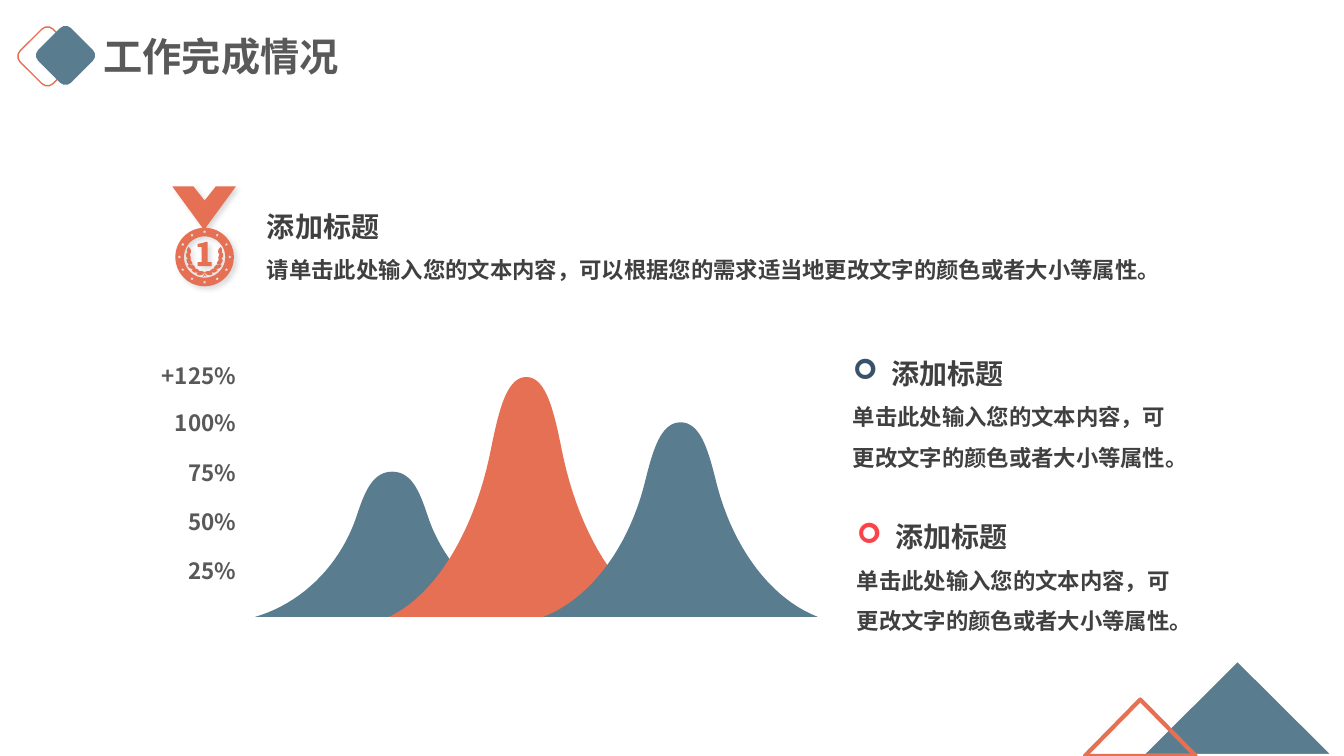
import math
from dataclasses import dataclass
from typing import Optional

import lxml.etree
import pptx
import pptx.dml.color
import pptx.enum.shapes
import pptx.enum.text
import pptx.oxml.ns
import pptx.util

PX = 9144  # 100 px to the inch
FONT = "Noto Sans CJK SC"
TEAL, CORAL, WHITE = "597C8F", "E67054", "FFFFFF"
GREY, DARK = "595959", "404040"
KIND = pptx.enum.shapes.MSO_SHAPE
ALIGN = pptx.enum.text.PP_ALIGN
FIT = pptx.enum.text.MSO_AUTO_SIZE
Point = tuple[float, float]


@dataclass
class Form:
    kind: int
    box: tuple[int, int, int, int]
    fill: Optional[str] = None
    line: Optional[str] = None
    width: int = 0
    turn: int = 0


@dataclass
class Peak:
    left: int
    height: int
    fill: str


@dataclass
class Label:
    text: str
    top: int


@dataclass
class Note:
    left: int
    top: int
    width: int
    text: str
    mark: Optional[str] = None


FORMS = [
    Form(KIND.ROUNDED_RECTANGLE, (24, 33, 46, 46), line=CORAL, width=1, turn=45),
    Form(KIND.ROUNDED_RECTANGLE, (42, 32, 46, 46), fill=TEAL, turn=45),
    Form(KIND.ISOSCELES_TRIANGLE, (1131, 654, 193, 96), TEAL, WHITE, 3),
    Form(KIND.ISOSCELES_TRIANGLE, (1076, 694, 110, 56), line=CORAL, width=3),
]
PEAKS = [Peak(253, 144, TEAL), Peak(386, 238, CORAL), Peak(539, 193, TEAL)]
LABELS = [Label("+125%", 353), Label("100%", 400), Label("75%", 449),
          Label("50%", 498), Label("25%", 547)]
BODY = "单击此处输入您的文本内容，可更改文字的颜色或者大小等属性。"
NOTES = [
    Note(255, 186, 907, "请单击此处输入您的文本内容，可以根据您的需求适当地更改文字的颜色或者大小等属性。"),
    Note(836, 332, 338, BODY, "395269"),
    Note(840, 494, 338, BODY, "FB4349"),
]
# Left half of a peak: x in px, y in percent of the height
BASE, SPAN = 612, 272
SLOPE = [(0, 0), (45, 9), (82, 34), (99, 66), (107, 82), (114, 100), (136, 100)]
# Medal: centre, right-hand leaves, figure one
MID, HUB = 203, 255
LEAVES = [((203, 270), (211, 272)), ((208, 269), (216, 268)),
          ((212, 266), (220, 263)), ((215, 263), (221, 257)),
          ((217, 258), (221, 251)), ((218, 253), (219, 245))]
ONE = [(204, 240), (206, 240), (206, 260), (210, 260), (210, 264), (196, 264),
       (196, 260), (200, 260), (200, 245), (196, 245), (196, 242), (201, 241)]
STEM = [(203, 271), (205, 275), (203, 273), (201, 275)]

deck = pptx.Presentation()
deck.slide_width, deck.slide_height = pptx.util.Inches(13.33), pptx.util.Inches(7.5)
shapes = deck.slides.add_slide(deck.slide_layouts[6]).shapes


def color(code: str) -> pptx.dml.color.RGBColor:
    return pptx.dml.color.RGBColor.from_string(code)


def child(node, tag: str, **attrs):
    return lxml.etree.SubElement(node, pptx.oxml.ns.qn(tag), attrs)


def paint(shape, fill: Optional[str], line: Optional[str] = None, width: int = 0) -> None:
    shape.shadow.inherit = False
    if fill:
        shape.fill.solid()
        shape.fill.fore_color.rgb = color(fill)
    else:
        shape.fill.background()
    if line:
        shape.line.color.rgb = color(line)
        shape.line.width = pptx.util.Pt(width)
    else:
        shape.line.fill.background()


def box(left: int, top: int, width: int, height: int, wrap: bool = True):
    frame = shapes.add_textbox(left * PX, top * PX, width * PX, height * PX).text_frame
    frame.word_wrap = wrap
    return frame


def write(par, text: str, *, size: int, ink: str, align=None, space=None, mark=None) -> None:
    par.alignment, par.line_spacing = align, space
    run = par.add_run()
    run.text = text
    run.font.size, run.font.bold = pptx.util.Pt(size), True
    run.font.name = FONT
    run.font.color.rgb = color(ink)
    child(run.font._element, "a:ea", typeface=FONT)
    if mark:
        props = par._p.get_or_add_pPr()
        props.set("marL", str(38 * PX))
        props.set("indent", str(-38 * PX))
        child(child(props, "a:buClr"), "a:srgbClr", val=mark)
        child(props, "a:buFont", typeface="Wingdings")
        child(props, "a:buChar", char="➢")


def curve(nodes: list[Point], steps: int = 20) -> list[Point]:
    """Points along a chain of cubic curves."""
    out = [nodes[0]]
    for i in range(0, len(nodes) - 1, 3):
        a, b, c, d = nodes[i:i + 4]
        for k in range(1, steps + 1):
            t = k / steps
            u = 1 - t
            out.append(tuple(u**3 * p + 3 * u * u * t * q + 3 * u * t * t * r + t**3 * s
                             for p, q, r, s in zip(a, b, c, d)))
    return out


def arc(x: float, y: float, size: float, start: int = 0, end: int = 360, step: int = 4) -> list[Point]:
    return [(x + size * math.cos(math.radians(a)), y + size * math.sin(math.radians(a)))
            for a in range(start, end, step)]


def star(x: float, y: float) -> list[Point]:
    tips, dips = arc(x, y, 2, -90, 270, 72), arc(x, y, 0.9, -54, 306, 72)
    return [p for pair in zip(tips, dips) for p in pair]


def leaf(a: Point, b: Point) -> list[Point]:
    dx, dy = (b[0] - a[0]) / 3, (b[1] - a[1]) / 3
    return curve([a, (a[0] + dx - dy, a[1] + dy + dx), (b[0] - dx - dy, b[1] - dy + dx), b,
                  (b[0] - dx + dy, b[1] - dy - dx), (a[0] + dx + dy, a[1] + dy - dx), a], 6)


def trace(loops: list[list[Point]], fill: str):
    scaled = [[(round(x * PX), round(y * PX)) for x, y in loop] for loop in loops]
    pen = shapes.build_freeform(*scaled[0][0])
    for i, loop in enumerate(scaled):
        if i:
            pen.move_to(*loop[0])
        pen.add_line_segments(loop[1:], close=True)
    shape = pen.convert_to_shape()
    paint(shape, fill)
    return shape


def medal() -> None:
    rim = [(171, 185), (192, 185), (203, 199), (214, 185), (234, 185), (204, 226)]
    loops = [rim + arc(MID, HUB, 29, -86, 268), arc(MID, HUB, 20.5), ONE, STEM]
    loops += [star(x, y) for x, y in arc(MID, HUB, 25, step=30)]
    for a, b in LEAVES:
        loops += [leaf(a, b), leaf((2 * MID - a[0], a[1]), (2 * MID - b[0], b[1]))]
    effect = trace(loops, CORAL)._element.spPr.find(pptx.oxml.ns.qn("a:effectLst"))
    shade = child(effect, "a:outerShdw", blurRad="50800", dist="38100", dir="2700000", algn="tl")
    child(child(shade, "a:srgbClr", val="000000"), "a:alpha", val="15000")


def main() -> None:
    # Diamonds and corner triangles
    for form in FORMS:
        shape = shapes.add_shape(form.kind, *(n * PX for n in form.box))
        shape.rotation = form.turn
        paint(shape, form.fill, form.line, form.width)

    # Heading
    write(box(93, 27, 256, 57, wrap=False).paragraphs[0], "工作完成情况", size=28, ink=GREY)

    medal()

    # Peaks and their scale
    whole = SLOPE + [(SPAN - x, y) for x, y in SLOPE[-2::-1]]
    for peak in PEAKS:
        nodes = [(peak.left + x, BASE - y * peak.height / 100) for x, y in whole]
        trace([curve(nodes)], peak.fill)
    for label in LABELS:
        frame = box(157, label.top, 80, 39)
        frame.vertical_anchor = pptx.enum.text.MSO_ANCHOR.MIDDLE
        frame.margin_left = frame.margin_right = frame.margin_top = frame.margin_bottom = 3 * PX
        write(frame.paragraphs[0], label.text, size=16, ink=GREY, align=ALIGN.RIGHT)

    # Notes
    for note in NOTES:
        frame = box(note.left, note.top, note.width, 137 if note.mark else 96)
        frame.auto_size = FIT.SHAPE_TO_FIT_TEXT
        write(frame.paragraphs[0], "添加标题", size=20, ink=DARK,
              align=ALIGN.JUSTIFY, space=1.5, mark=note.mark)
        write(frame.add_paragraph(), note.text, size=16, ink=DARK, space=1.5)

    deck.save("out.pptx")


if __name__ == "__main__":
    main()
